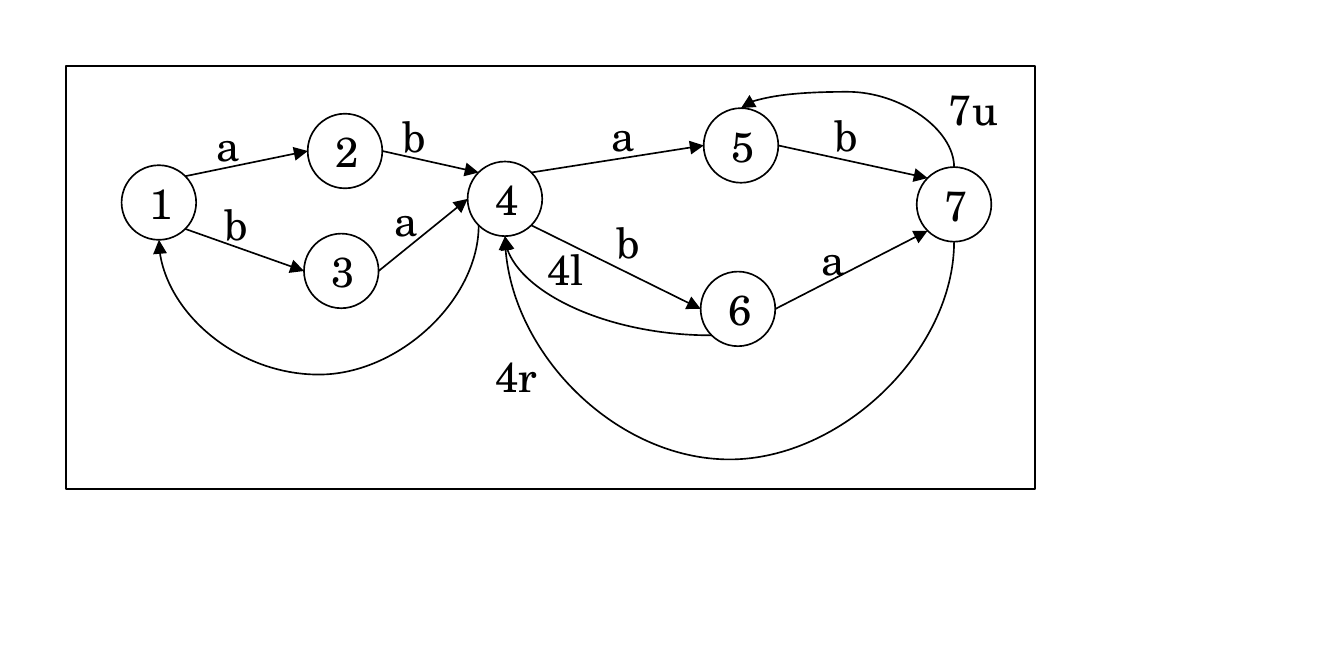
import math
from lxml import etree
from pptx import Presentation
from pptx import util as u
from pptx.dml import color
from pptx.enum import shapes, text
from pptx.oxml import ns

COLUMNS, ROWS = 80, 40
WIDTH, HEIGHT = u.Inches(8), u.Inches(4)
FONT, INK, PAPER = "TeX Gyre Schola", "000000", "FFFFFF"
DIAMETER = 4.44
SITES = ["top", "top left", "left", "bottom left",
         "bottom", "bottom right", "right", "top right"]
NODES = {"1": (9.46, 12.06), "2": (20.54, 8.99), "3": (20.32, 16.13),
         "4": (30.06, 11.84), "5": (44.11, 8.66), "6": (43.93, 18.39),
         "7": (56.79, 12.17)}
STRAIGHT_EDGES = [("1", "top right", "2", "left"),
                  ("1", "bottom right", "3", "left"),
                  ("2", "right", "4", "top left"),
                  ("3", "right", "4", "left"),
                  ("4", "top right", "5", "left"),
                  ("4", "bottom right", "6", "left"),
                  ("6", "right", "7", "bottom left"),
                  ("5", "right", "7", "top left")]
CURVED_EDGES = [("4", "bottom left", "1", "bottom", 22.3),
                ("7", "bottom", "4", "bottom", 27.33),
                ("6", "bottom left", "4", "bottom", None),
                ("7", "top", "5", "top", 5.47)]
LABEL_WIDTHS = {"a": 3.4, "b": 3.5, "4l": 4.2, "4r": 4.7, "7u": 5.2}
LABELS = [("a", 11.9, 6.6), ("b", 12.4, 11.3), ("4l", 31.6, 14),
          ("a", 22.5, 11.1), ("a", 35.4, 6), ("a", 47.9, 13.4),
          ("b", 23, 6.1), ("b", 48.7, 6), ("b", 35.7, 12.4),
          ("7u", 55.5, 4.5), ("4r", 28.5, 20.4)]


def across(columns):
    return round(WIDTH * columns / COLUMNS)


def down(rows):
    return round(HEIGHT * rows / ROWS)


def rgb(value):
    return color.RGBColor.from_string(value)


def write(shape, content, size=18, ink=INK, align=None):
    paragraph = shape.text_frame.paragraphs[0]
    paragraph.alignment = align
    run = paragraph.add_run()
    run.text = content
    run.font.name = FONT
    run.font.size = u.Pt(size)
    run.font.color.rgb = rgb(ink)


def draw_outline(line):
    line.color.rgb = rgb(INK)
    line.width = u.Pt(0.71)


def add_box(slide, kind, left, top, width, height):
    shape = slide.shapes.add_shape(
        kind, across(left), down(top), across(width), down(height))
    shape.shadow.inherit = False
    shape.fill.solid()
    shape.fill.fore_color.rgb = rgb(PAPER)
    draw_outline(shape.line)
    return shape


def add_node(slide, name):
    x, y = NODES[name]
    node = add_box(slide, shapes.MSO_SHAPE.OVAL, x - DIAMETER / 2,
                   y - DIAMETER / 2, DIAMETER, DIAMETER)
    node.text_frame.vertical_anchor = text.MSO_ANCHOR.MIDDLE
    write(node, name, align=text.PP_ALIGN.CENTER)
    return node


def add_label(slide, content, left, top):
    label = slide.shapes.add_textbox(
        across(left), down(top), across(LABEL_WIDTHS[content]), down(4.4))
    label.text_frame.word_wrap = False
    label.text_frame.auto_size = text.MSO_AUTO_SIZE.SHAPE_TO_FIT_TEXT
    write(label, content, align=text.PP_ALIGN.LEFT)


def site_point(name, site):
    x, y = NODES[name]
    angle = math.radians(90 + 45 * SITES.index(site))
    return (across(x + DIAMETER / 2 * math.cos(angle)),
            down(y - DIAMETER / 2 * math.sin(angle)))


def add_edge(slide, nodes, kind, start, start_site, end, end_site):
    connector = slide.shapes.add_connector(
        kind, *site_point(start, start_site), *site_point(end, end_site))
    draw_outline(connector.line)
    properties = connector._element.spPr
    line = properties.find(ns.qn("a:ln"))
    etree.SubElement(line, ns.qn("a:tailEnd"), type="triangle")
    etree.SubElement(properties, ns.qn("a:effectLst"))
    joints = connector._element.find(".//" + ns.qn("p:cNvCxnSpPr"))
    for tag, name, site in (("a:stCxn", start, start_site),
                            ("a:endCxn", end, end_site)):
        etree.SubElement(joints, ns.qn(tag), id=str(nodes[name].shape_id),
                         idx=str(SITES.index(site)))
    return connector


def bend(connector, reach):
    x1, y1 = connector.begin_x, connector.begin_y
    x2, y2 = connector.end_x, connector.end_y
    width, height = abs(x2 - x1), abs(y2 - y1)
    transform = connector._element.spPr.find(ns.qn("a:xfrm"))
    geometry = connector._element.spPr.find(ns.qn("a:prstGeom"))
    for flip in ("flipH", "flipV"):
        transform.attrib.pop(flip, None)
    if reach is None:
        geometry.set("prst", "curvedConnector2")
        turn = 180
    else:
        geometry.set("prst", "curvedConnector3")
        turn = 90 if y2 > y1 else 270
        if turn == 270:
            transform.set("flipV", "1")
        share = round(100000 * (down(reach) - y1) / (y2 - y1))
        guides = geometry.find(ns.qn("a:avLst"))
        etree.SubElement(guides, ns.qn("a:gd"), name="adj1",
                         fmla=f"val {share}")
        width, height = height, width
    transform.set("rot", str(turn * 60000))
    connector.left = (x1 + x2 - width) // 2
    connector.top = (y1 + y2 - height) // 2
    connector.width, connector.height = width, height


def main():
    presentation = Presentation()
    presentation.slide_width, presentation.slide_height = WIDTH, HEIGHT
    slide = presentation.slides.add_slide(presentation.slide_layouts[6])
    add_box(slide, shapes.MSO_SHAPE.RECTANGLE, 3.93, 3.93, 57.7, 25.2)
    nodes = {name: add_node(slide, name) for name in NODES}
    for edge in STRAIGHT_EDGES:
        add_edge(slide, nodes, shapes.MSO_CONNECTOR.STRAIGHT, *edge)
    for *edge, reach in CURVED_EDGES:
        bend(add_edge(slide, nodes, shapes.MSO_CONNECTOR.CURVE, *edge), reach)
    for label in LABELS:
        add_label(slide, *label)
    presentation.save("out.pptx")


if __name__ == "__main__":
    main()
